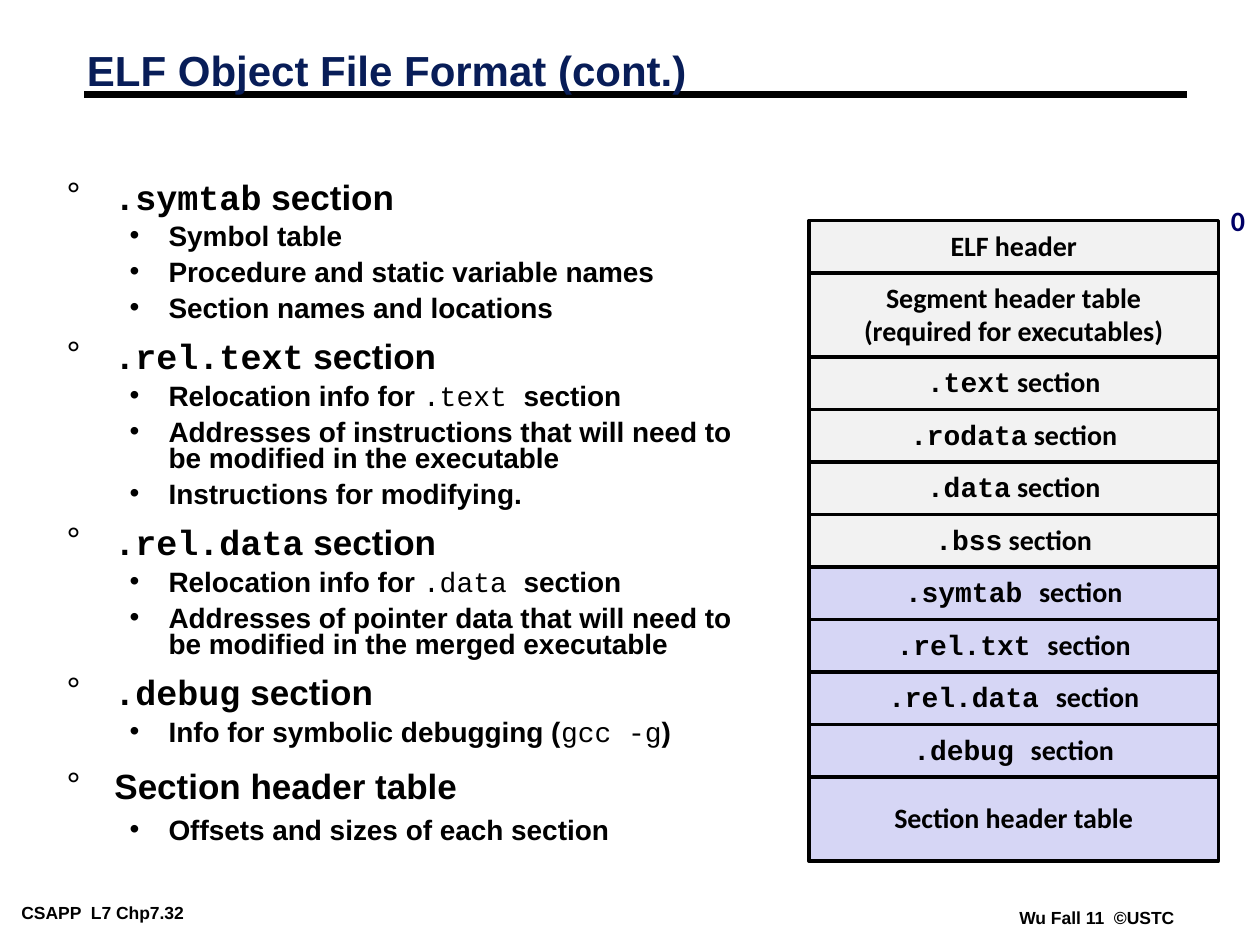
"""Build the slide on the ELF object file format: section notes and file layout."""
from lxml.etree import SubElement
from pptx import Presentation
from pptx.dml.color import RGBColor
from pptx.enum.shapes import MSO_CONNECTOR, MSO_SHAPE
from pptx.enum.text import MSO_ANCHOR, PP_ALIGN
from pptx.oxml.ns import qn
from pptx.util import Inches, Pt

COLORS = {"black": "000000", "title": "081D58", "address": "000066",
          "loaded": "F2F2F2", "linking": "D6D6F5"}


def color(name):
    return RGBColor.from_string(COLORS[name])


def write(tf, text, size=16, font="Arial", ink="black", code_bold=True, align=None,
          spacing=None, before=0, bullet=None, level=0, left=0, hang=0):
    """Add a paragraph; text between backticks is set in the code font."""
    first = not tf.paragraphs[0].runs
    p = tf.paragraphs[0] if first else tf.add_paragraph()
    p.level = level
    p.alignment = align
    p.line_spacing = spacing
    p.space_before = Pt(0 if first else before)
    pPr = p._p.get_or_add_pPr()
    pPr.set("marL", str(Inches(left)))
    pPr.set("indent", str(-Inches(hang)))
    if bullet:
        SubElement(pPr, qn("a:buFont")).set("typeface", "Arial")
        SubElement(pPr, qn("a:buChar")).set("char", bullet)
    else:
        SubElement(pPr, qn("a:buNone"))
    for i, part in enumerate(text.split("`")):
        if part:
            r = p.add_run()
            r.text = part
            is_code = i % 2 == 1
            r.font.name = "Courier New" if is_code else font
            r.font.size = Pt(size)
            r.font.bold = code_bold if is_code else True
            r.font.color.rgb = color(ink)


prs = Presentation()
prs.slide_width, prs.slide_height = Inches(10), Inches(7.5)
s = prs.slides.add_slide(prs.slide_layouts[5])

rule = s.shapes.add_connector(MSO_CONNECTOR.STRAIGHT, Inches(0.67), Inches(0.75),
                              Inches(9.42), Inches(0.75))
rule.line.color.rgb = color("black")
rule.line.width = Pt(4.5)
SubElement(rule._element.spPr, qn("a:effectLst"))

title = s.shapes.title
s.shapes._spTree.append(title._element)
title.left, title.top = Inches(0.59), Inches(0.36)
title.width, title.height = Inches(9.53), Inches(0.45)
title.text_frame.vertical_anchor = MSO_ANCHOR.MIDDLE
write(title.text_frame, "ELF Object File Format (cont.)", size=24, ink="title",
      align=PP_ALIGN.LEFT, spacing=0.87, left=0.13, hang=0.13)

labels = [
    ("CSAPP  L7 Chp7.32", 0.1, 7.13, 1.95, 0.22, 0.07, 0.03,
     {"size": 10}),
    ("Wu Fall 11  ©USTC", 8.02, 7.17, 1.38, 0.22, 0.07, 0.03,
     {"size": 10}),
    ("0", 9.67, 1.58, 0.31, 0.36, 0.1, 0.05,
     {"font": "Calibri", "ink": "address", "spacing": 0.98}),
]
for text, x, y, w, h, side, edge, style in labels:
    tf = s.shapes.add_textbox(Inches(x), Inches(y), Inches(w), Inches(h)).text_frame
    tf.word_wrap = False
    tf.margin_left = tf.margin_right = Inches(side)
    tf.margin_top = tf.margin_bottom = Inches(edge)
    write(tf, text, **style)

notes = [
    ("`.symtab` section", 0.71, 0.78,
     ["Symbol table", "Procedure and static variable names",
      "Section names and locations"]),
    ("`.rel.text` section", 0.71, 0.78,
     ["Relocation info for `.text `section",
      "Addresses of instructions that will need to be modified in the executable",
      "Instructions for modifying."]),
    ("`.rel.data` section", 0.71, 0.78,
     ["Relocation info for `.data `section",
      "Addresses of pointer data that will need to be modified in the merged executable"]),
    ("`.debug` section", 0.71, 0.78, ["Info for symbolic debugging (`gcc -g`)"]),
    ("Section header table", 0.88, 0.88, ["Offsets and sizes of each section"]),
]
body = s.shapes.add_textbox(Inches(0.43), Inches(1.43), Inches(5.77), Inches(5.98))
tf = body.text_frame
tf.word_wrap = True
for heading, head_spacing, item_spacing, items in notes:
    write(tf, heading, size=20, spacing=head_spacing, before=12.5,
          bullet="°", left=0.38, hang=0.38)
    for item in items:
        write(tf, item, code_bold=False, spacing=item_spacing, before=5.6,
              bullet="•", level=1, left=0.81, hang=0.31)

ROW, TALL_ROW = 5 / 12, 2 / 3
sections = [
    ("ELF header", ROW, "loaded"),
    ("Segment header table\n(required for executables)", TALL_ROW, "loaded"),
    ("`.text` section", ROW, "loaded"),
    ("`.rodata` section", ROW, "loaded"),
    ("`.data` section", ROW, "loaded"),
    ("`.bss` section", ROW, "loaded"),
    ("`.symtab `section", ROW, "linking"),
    ("`.rel.txt `section", ROW, "linking"),
    ("`.rel.data `section", ROW, "linking"),
    ("`.debug `section", ROW, "linking"),
    ("Section header table", TALL_ROW, "linking"),
]
top = 1.75
for text, height, fill in sections:
    sp = s.shapes.add_shape(MSO_SHAPE.RECTANGLE, Inches(6.42), Inches(top),
                            Inches(3.25), Inches(height))
    sp.shadow.inherit = False
    sp.fill.solid()
    sp.fill.fore_color.rgb = color(fill)
    sp.line.color.rgb = color("black")
    sp.line.width = Pt(2)
    tf = sp.text_frame
    tf.word_wrap = False
    tf.vertical_anchor = MSO_ANCHOR.MIDDLE
    for line in text.split("\n"):
        write(tf, line, font="Calibri", align=PP_ALIGN.CENTER,
              spacing=0.94 if "`" in line else 0.98)
    top += height

prs.save("out.pptx")
